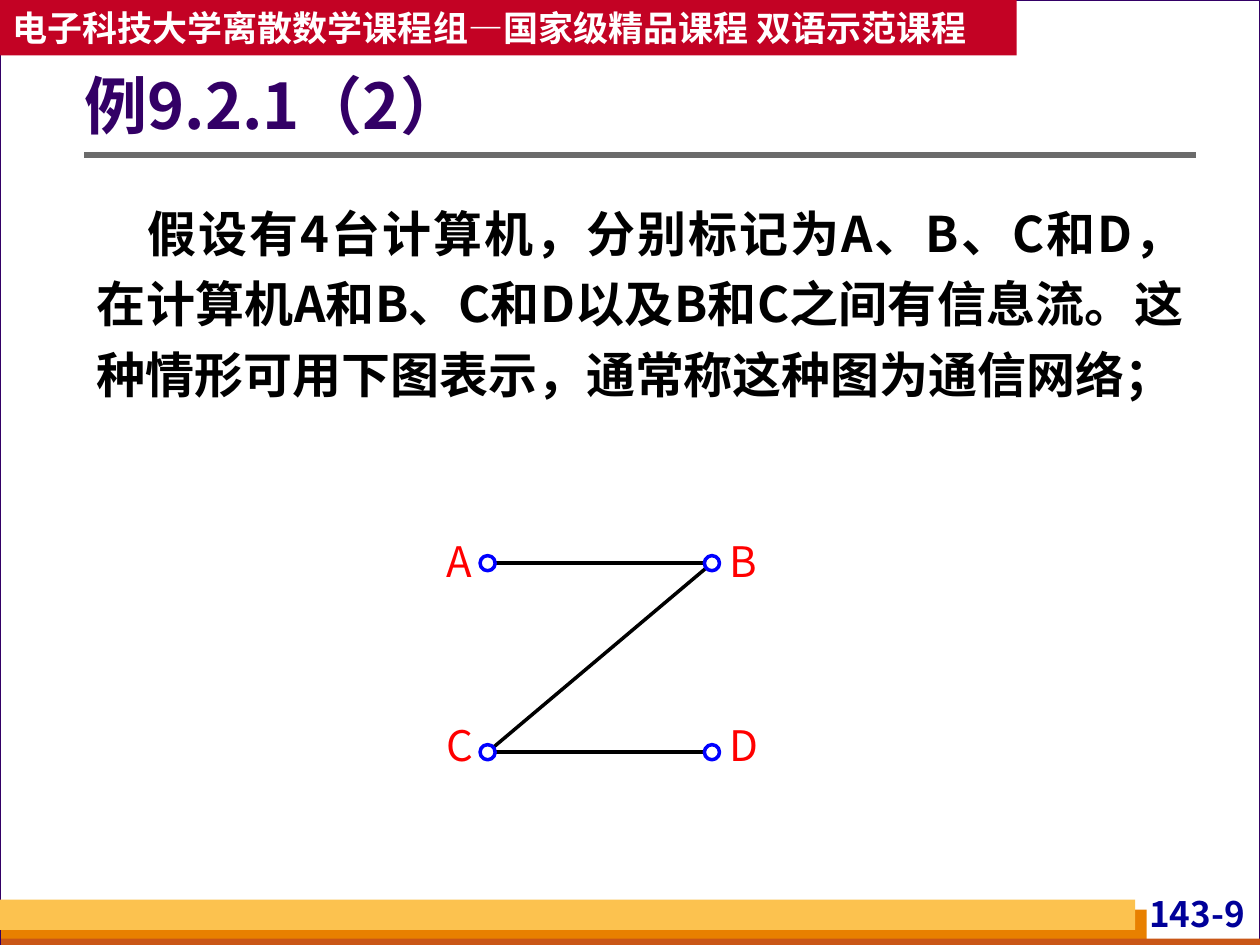
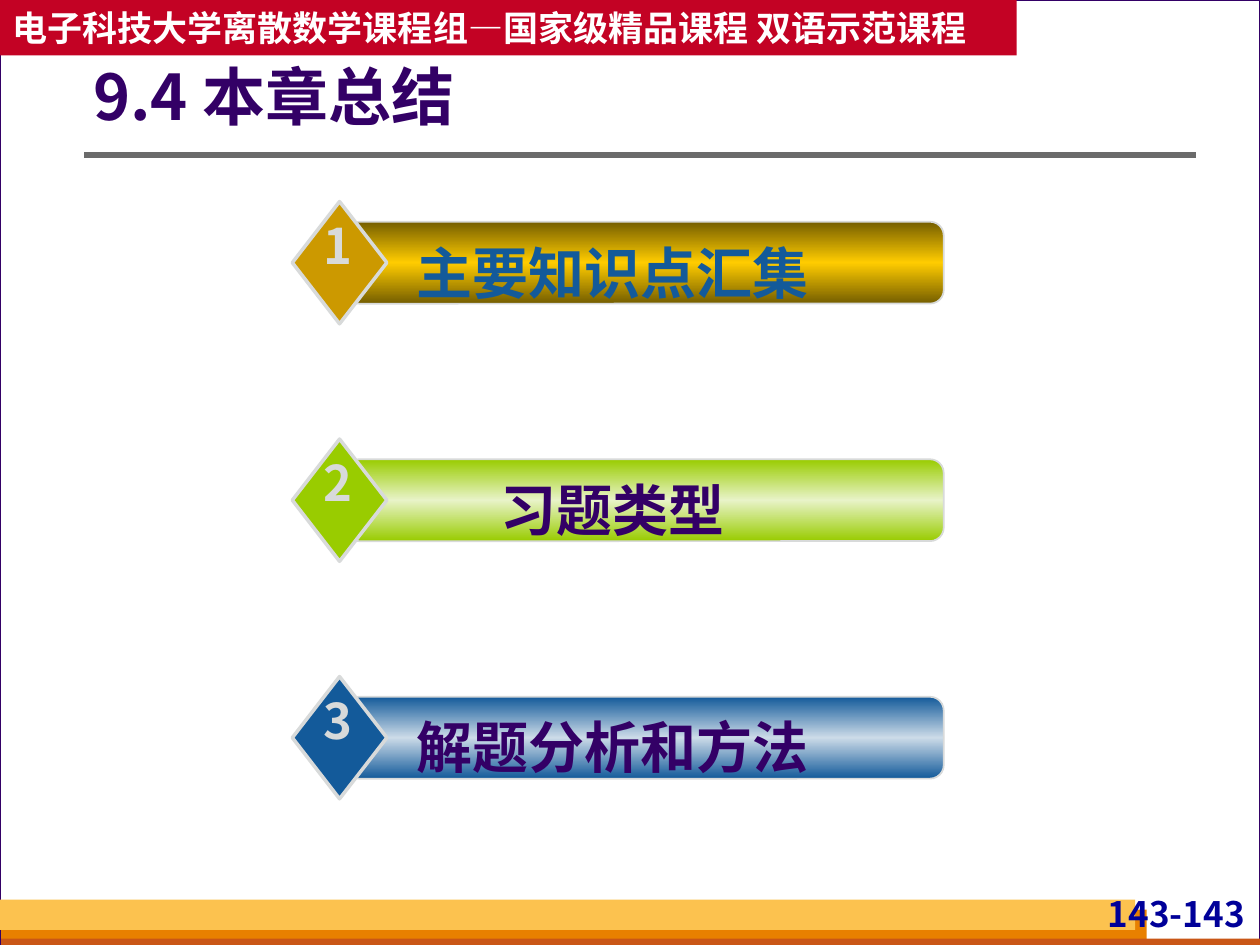
from typing import NamedTuple

from lxml.etree import SubElement
from pptx import Presentation
from pptx.dml.color import RGBColor
from pptx.enum.shapes import MSO_CONNECTOR, MSO_SHAPE
from pptx.enum.text import MSO_ANCHOR, PP_ALIGN
from pptx.oxml.ns import qn
from pptx.util import Inches, Pt

# Grid: 100 columns by 75 rows of 0.1 inch
COLS, ROWS = 100, 75
CELL = Inches(0.1)
FONT = "Noto Sans CJK SC"
COURSE = "电子科技大学离散数学课程组—国家级精品课程 双语示范课程"
C = {
    "backdrop": "D8DADA", "paper": "FFFFFF", "title": "330066", "rule": "6B6B6B",
    "banner": "C30224", "amber": "FCC24F", "orange": "E88000", "rust": "C95616",
    "page": "000099", "ink": "000000", "letter": "FF0000", "dot": "0000FF",
    "gold": "CC9900", "gold_dark": "755E00", "gold_light": "FFCC00",
    "green": "99CC00", "green_light": "E8F3C8", "blue": "135A9A", "blue_light": "CCDBE8",
}


class Box(NamedTuple):
    col: float
    row: float
    cols: float
    rows: float

    def emu(self) -> list[int]:
        return [round(v * CELL) for v in self]


class Node(NamedTuple):
    col: float
    row: float
    label_col: float
    label_row: float


class Topic(NamedTuple):
    label: str
    ink: str
    diamond: str
    edge: str
    middle: str


BANDS = [
    (Box(0.1, 72.2, 90.9, 2.8), "orange"),
    (Box(0.1, 74.5, 100, 0.8), "rust"),
    (Box(0, 71.4, 90.1, 2.4), "amber"),
]
NODES = {
    "A": Node(38.7, 44.7, 35.4, 42.5),
    "B": Node(56.5, 44.7, 57.9, 42.5),
    "C": Node(38.7, 59.7, 35.4, 57.1),
    "D": Node(56.5, 59.7, 57.9, 57.1),
}
EDGES = ["AB", "CD", "BC"]
TOPICS = [
    Topic("主要知识点汇集", "blue", "gold", "gold_dark", "gold_light"),
    Topic("习题类型", "title", "green", "green", "green_light"),
    Topic("解题分析和方法", "title", "blue", "blue", "blue_light"),
]
FIRST_TOPIC, TOPIC_STEP = 20.85, 18.85


def rgb(name: str) -> RGBColor:
    return RGBColor.from_string(C[name])


# Drawing helpers
def shape(s, kind, box: Box, fill: str, line: str = "", width: float = 1):
    sp = s.shapes.add_shape(kind, *box.emu())
    sp.shadow.inherit = False
    sp.fill.solid()
    sp.fill.fore_color.rgb = rgb(fill)
    if line:
        sp.line.color.rgb = rgb(line)
        sp.line.width = Pt(width)
    else:
        sp.line.fill.background()
    return sp


def write(sp, text: str, size: float, color: str, bold: bool = True, align=PP_ALIGN.LEFT,
          anchor=MSO_ANCHOR.TOP, insets=(0, 0, 0, 0)):
    tf = sp.text_frame
    tf.word_wrap = True
    tf.vertical_anchor = anchor
    tf.margin_left, tf.margin_top, tf.margin_right, tf.margin_bottom = map(Inches, insets)
    tf.text = text
    p = tf.paragraphs[0]
    p.alignment = align
    r = p.runs[0]
    r.font.name, r.font.size, r.font.bold = FONT, Pt(size), bold
    r.font.color.rgb = rgb(color)
    SubElement(r._r.get_or_add_rPr(), qn("a:ea")).set("typeface", FONT)
    return p


def label(s, box: Box, text: str, size: float, color: str, **style):
    return write(s.shapes.add_textbox(*box.emu()), text, size, color, **style)


def line(s, start: tuple, end: tuple, color: str, width: float) -> None:
    ends = [round(v * CELL) for v in (*start, *end)]
    cx = s.shapes.add_connector(MSO_CONNECTOR.STRAIGHT, *ends)
    cx.line.color.rgb = rgb(color)
    cx.line.width = Pt(width)
    SubElement(cx._element.spPr, qn("a:effectLst"))


def mirror_gradient(sp, edge: str, middle: str) -> None:
    sp.fill.gradient()
    sp.fill.gradient_angle = 270
    stops = sp._element.spPr.find(qn("a:gradFill")).find(qn("a:gsLst"))
    for stop in list(stops):
        stops.remove(stop)
    for pos, name in ((0, edge), (50, middle), (100, edge)):
        stop = SubElement(stops, qn("a:gs"), pos=str(pos * 1000))
        SubElement(stop, qn("a:srgbClr"), val=C[name])


# Shared frame: paper, bottom bands, page number, rule, banner and title
def base_slide(prs, title: str, title_box: Box, page: str):
    s = prs.slides.add_slide(prs.slide_layouts[6])
    s.background.fill.solid()
    s.background.fill.fore_color.rgb = rgb("backdrop")
    shape(s, MSO_SHAPE.RECTANGLE, Box(0, 0, COLS, ROWS), "paper", "title", 0.75)
    for box, color in BANDS:
        shape(s, MSO_SHAPE.RECTANGLE, box, color)
    label(s, Box(87, 70.8, 12.2, 3.8), page, 20, "page",
          align=PP_ALIGN.RIGHT, insets=(0.04, 0, 0.04, 0))
    line(s, (6.7, 12.3), (94.9, 12.3), "rule", 3)
    banner = shape(s, MSO_SHAPE.RECTANGLE, Box(0, 0, 80.7, 4.4), "banner")
    write(banner, COURSE, 20, "paper", anchor=MSO_ANCHOR.MIDDLE, insets=(0.1, 0.05, 0.1, 0.05))
    p = label(s, title_box, title, 36, "title",
              anchor=MSO_ANCHOR.MIDDLE, insets=(0, 0.05, 0.1, 0.05))
    p.line_spacing = 0.9
    return s


def network_slide(prs) -> None:
    s = base_slide(prs, "例9.2.1（2）", Box(6.7, 3.6, 88.2, 10.1), "143-9")
    p = label(s, Box(6.7, 14.7, 88.2, 23.4),
              "假设有4台计算机，分别标记为A、B、C和D，在计算机A和B、C和D以及B和C之间有信息流。"
              "这种情形可用下图表示，通常称这种图为通信网络；",
              28, "ink", align=PP_ALIGN.JUSTIFY, insets=(0.1, 0.05, 0.1, 0.05))
    p.line_spacing = 1.2
    p._p.get_or_add_pPr().set("indent", str(4 * CELL))

    # Edges first, so that the nodes cover their ends
    for a, b in EDGES:
        line(s, NODES[a][:2], NODES[b][:2], "ink", 2)
    for name, n in NODES.items():
        shape(s, MSO_SHAPE.OVAL, Box(n.col - 0.6, n.row - 0.6, 1.2, 1.2), "paper", "dot", 2)
        label(s, Box(n.label_col, n.label_row, 1.3, 4), name, 24, "letter", bold=False)


def summary_slide(prs) -> None:
    s = base_slide(prs, "9.4 本章总结", Box(7.4, 4.1, 86.8, 7.7), "143-143")
    for i, t in enumerate(TOPICS):
        mid = FIRST_TOPIC + i * TOPIC_STEP
        bar = shape(s, MSO_SHAPE.ROUNDED_RECTANGLE, Box(27.4, mid - 3.25, 47.5, 6.5),
                    t.edge, "backdrop", 1)
        mirror_gradient(bar, t.edge, t.middle)
        shape(s, MSO_SHAPE.DIAMOND, Box(23.2, mid - 4.85, 7.5, 9.7), t.diamond, "backdrop", 2)
        label(s, Box(29.9, mid - 2.45, 37.5, 6.4), t.label, 32, t.ink,
              align=PP_ALIGN.CENTER, insets=(0.1, 0.05, 0.1, 0.05))
        label(s, Box(24.7, mid - 4.25, 4.2, 5.7), str(i + 1), 28, "backdrop",
              align=PP_ALIGN.CENTER, insets=(0, 0.05, 0, 0.05))


def main() -> None:
    prs = Presentation()
    prs.slide_width, prs.slide_height = COLS * CELL, ROWS * CELL
    network_slide(prs)
    summary_slide(prs)
    prs.save("out.pptx")


if __name__ == "__main__":
    main()
